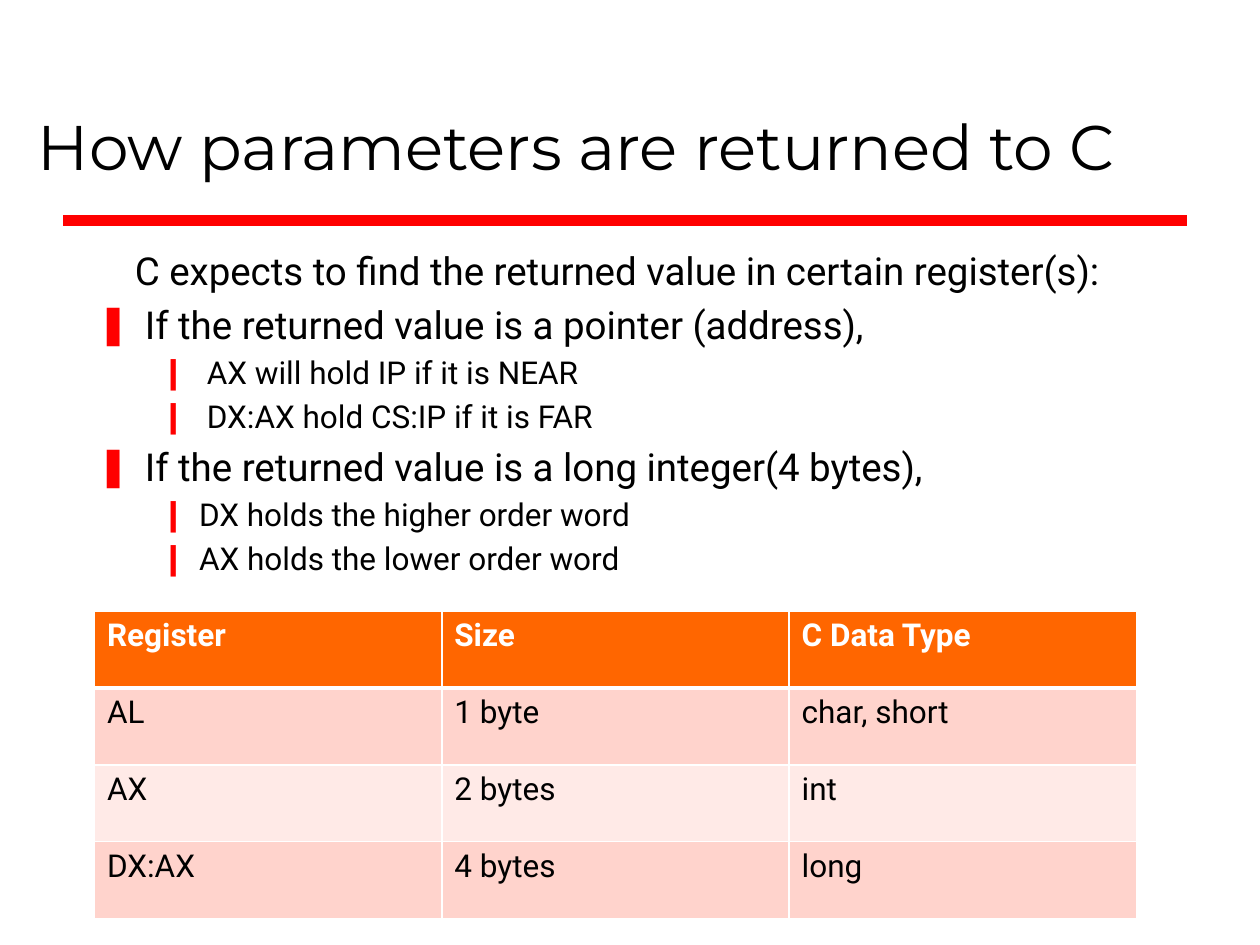
from dataclasses import dataclass

from pptx import Presentation
from pptx.dml.color import RGBColor
from pptx.enum.shapes import MSO_CONNECTOR as Connector
from pptx.enum.text import MSO_ANCHOR as Anchor, MSO_AUTO_SIZE as AutoSize, PP_ALIGN as Align
from pptx.oxml.ns import qn
from pptx.util import Emu, Pt
from lxml.etree import SubElement

PX = 9144
BULLETS = ("❚", "❙")
HANGS = ((38, 38), (81, 31))
POINTS = [
    (None, "C expects to find the returned value in certain register(s):"),
    (0, "If the returned value is a pointer (address),"),
    (1, " AX will hold IP if it is NEAR"),
    (1, " DX:AX hold CS:IP if it is FAR"),
    (0, "If the returned value is a long integer(4 bytes),"),
    (1, "DX holds the higher order word"),
    (1, "AX holds the lower order word"),
]
REGISTERS = [
    ("Register", "Size", "C Data Type"),
    ("AL", "1 byte", "char, short"),
    ("AX", "2 bytes", "int"),
    ("DX:AX", "4 bytes", "long"),
]


@dataclass(frozen=True)
class Theme:
    """Colours, fonts and type sizes."""
    ink: str = "000000"
    paper: str = "FFFFFF"
    accent: str = "FF0000"
    header: str = "FF6600"
    bands: tuple = ("FFEAE7", "FFD3CC")
    heading_font: str = "Montserrat"
    body_font: str = "Roboto"
    title_size: int = 36
    level_sizes: tuple = (22, 18)
    table_size: int = 18


def px(*lengths):
    """Turn px lengths into EMU."""
    return [Emu(length * PX) for length in lengths]


class SlideBuilder:
    """Draws styled elements on the current slide."""

    def __init__(self, page, theme):
        self.page = page
        self.theme = theme

    def place(self, shape, *bounds):
        """Move a shape to its left, top, width and height."""
        shape.left, shape.top, shape.width, shape.height = px(*bounds)

    def style(self, para, font, size, color, bold=False):
        """Format every run of a paragraph."""
        for span in para.runs:
            span.font.name = font
            span.font.size = Pt(size)
            span.font.bold = bold
            span.font.color.rgb = RGBColor.from_string(color)

    def title(self, text, *bounds):
        """Fill the title placeholder."""
        box = self.page.shapes.title
        self.place(box, *bounds)
        frame = box.text_frame
        frame.text = text
        frame.auto_size = AutoSize.NONE
        frame.vertical_anchor = Anchor.BOTTOM
        para = frame.paragraphs[0]
        para.alignment = Align.LEFT
        self.style(para, self.theme.heading_font, self.theme.title_size, self.theme.ink)

    def rule(self, left, top, right, weight):
        """Draw a horizontal line."""
        line = self.page.shapes.add_connector(Connector.STRAIGHT, *px(left, top, right, top))
        line.line.color.rgb = RGBColor.from_string(self.theme.accent)
        line.line.width = Pt(weight)
        SubElement(line._element.spPr, qn("a:effectLst"))

    def bullet(self, para, level):
        """Set indents and a bullet, or a plain lead-in for no level."""
        margin, hang = (30, 0) if level is None else HANGS[level]
        props = para._p.get_or_add_pPr()
        props.set("marL", str(margin * PX))
        props.set("indent", str(-hang * PX))
        if level is None:
            SubElement(props, qn("a:buNone"))
            return
        color = SubElement(props, qn("a:buClr"))
        SubElement(color, qn("a:srgbClr"), val=self.theme.accent)
        SubElement(props, qn("a:buChar"), char=BULLETS[level])

    def body(self, points, *bounds):
        """Fill the body placeholder with a two-level list."""
        box = self.page.placeholders[1]
        self.place(box, *bounds)
        frame = box.text_frame
        frame.text = "\n".join(text for _, text in points)
        frame.auto_size = AutoSize.NONE
        for para, (level, _) in zip(frame.paragraphs, points):
            para.level = level or 0
            self.bullet(para, level)
            self.style(para, self.theme.body_font, self.theme.level_sizes[para.level], self.theme.ink)

    def borders(self, cell, **weights):
        """Draw the cell edges L, R, T and B, one point unless given."""
        props = cell._tc.get_or_add_tcPr()
        for side in "LRTB":
            edge = SubElement(props, qn(f"a:ln{side}"), w=str(Pt(weights.get(side, 1))))
            fill = SubElement(edge, qn("a:solidFill"))
            SubElement(fill, qn("a:srgbClr"), val=self.theme.paper)

    def table(self, rows, *bounds):
        """Add a table with a header row and banded body rows."""
        theme = self.theme
        grid = self.page.shapes.add_table(len(rows), len(rows[0]), *px(*bounds)).table
        for number, values in enumerate(rows):
            heading = number == 0
            weights = {0: {"B": 3}, 1: {"T": 3}}.get(number, {})
            fill = theme.header if heading else theme.bands[number % 2]
            color = theme.paper if heading else theme.ink
            for cell, text in zip(grid.rows[number].cells, values):
                cell.text_frame.text = text
                self.borders(cell, **weights)
                cell.fill.solid()
                cell.fill.fore_color.rgb = RGBColor.from_string(fill)
                self.style(cell.text_frame.paragraphs[0], theme.body_font,
                           theme.table_size, color, heading)


def main():
    """Build the slide and save the deck."""
    deck = Presentation()
    deck.slide_width, deck.slide_height = px(1000, 750)
    builder = SlideBuilder(deck.slides.add_slide(deck.slide_layouts[1]), Theme())
    builder.rule(50, 175, 942, 6)
    builder.title("How parameters are returned to C", 20, 25, 957, 125)
    builder.body(POINTS, 67, 191, 909, 538)
    builder.table(REGISTERS, 75, 485, 827, 244)
    deck.save("out.pptx")


if __name__ == "__main__":
    main()
